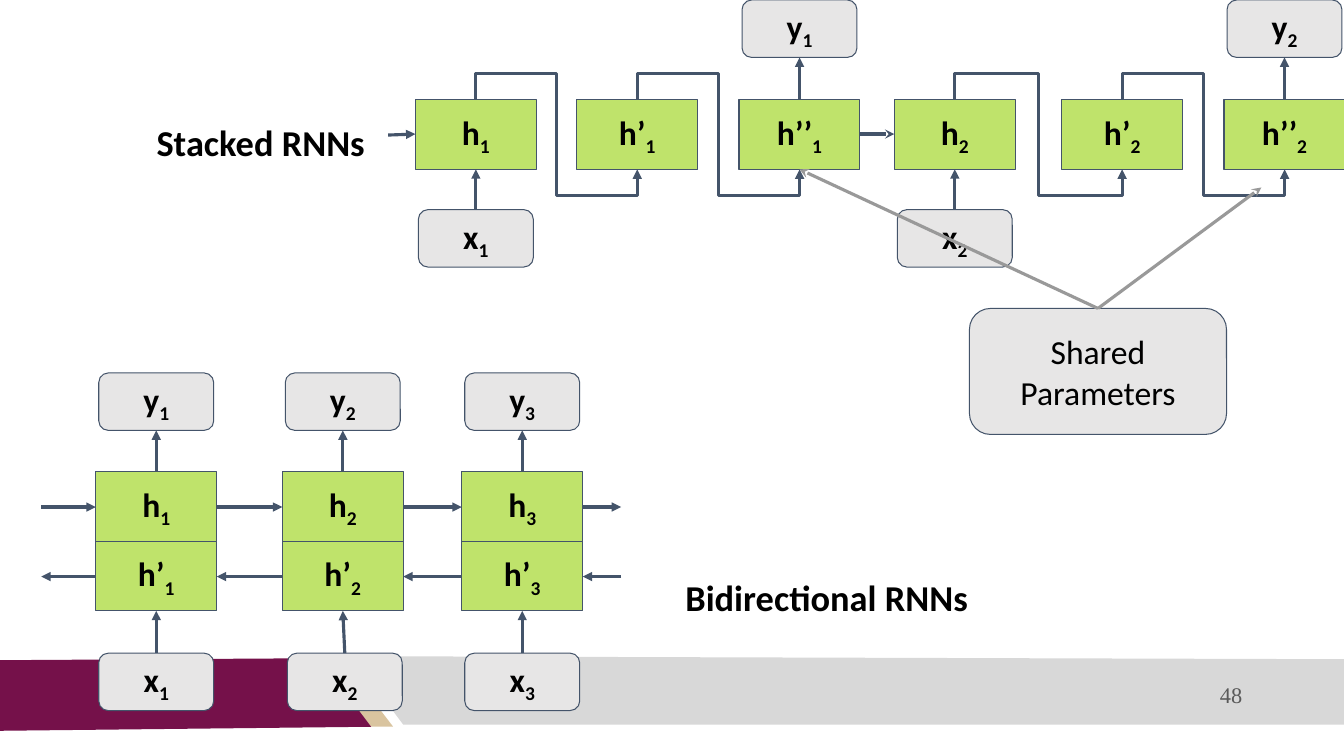
"""Draw a slide that compares stacked and bidirectional RNNs."""
from dataclasses import dataclass

import lxml.etree
import pptx
import pptx.dml.color
import pptx.enum.shapes
import pptx.enum.text
import pptx.oxml
import pptx.oxml.ns
import pptx.util

Inches = pptx.util.Inches
Pt = pptx.util.Pt
Align = pptx.enum.text.PP_ALIGN
Anchor = pptx.enum.text.MSO_ANCHOR
Form = pptx.enum.shapes.MSO_SHAPE
Link = pptx.enum.shapes.MSO_CONNECTOR

INK = "44546A"
GRAY = "999999"


@dataclass(frozen=True)
class Kind:
    form: int
    wide: float
    tall: float
    fill: str
    alpha: int = 100


@dataclass(frozen=True)
class Node:
    kind: Kind
    mid: float
    top: float
    text: str
    sub: str = ""
    bold: bool = True


@dataclass(frozen=True)
class Wire:
    x1: float
    y1: float
    x2: float
    y2: float
    color: str = INK
    head: str = "triangle"


@dataclass(frozen=True)
class Label:
    left: float
    top: float
    wide: float
    tall: float
    text: str
    align: int
    size: int = 26
    font: str = "Calibri"
    color: str = "000000"
    bold: bool = True
    anchor: int = Anchor.TOP


@dataclass(frozen=True)
class Band:
    color: str
    points: tuple


CELL = Kind(Form.RECTANGLE, 1.2, 0.69, "B0DD46", 80)
PILL = Kind(Form.ROUNDED_RECTANGLE, 1.14, 0.57, "E7E6E6")
NOTE = Kind(Form.ROUNDED_RECTANGLE, 2.55, 1.25, "E7E6E6")

BANDS = [
    Band("D9C49F", ((3.16, 6.53), (3.38, 6.53), (3.9, 7.21), (3.67, 7.21))),
    Band("75114A", ((-0.01, 6.55), (3.17, 6.53), (3.68, 7.21), (-0.01, 7.25))),
    Band("D8D8D8", ((13.37, 7.19), (4, 7.19), (3.49, 6.51), (13.34, 6.54))),
]
LABELS = [
    Label(7.92, 6.69, 4.5, 0.4, "48", Align.RIGHT, 16, "Times New Roman",
          "595959", False, Anchor.MIDDLE),
    Label(6.7, 5.61, 4.56, 0.64, "Bidirectional RNNs", Align.LEFT),
    Label(-0.84, 1.09, 4.56, 0.64, "Stacked RNNs", Align.RIGHT),
]
PAIR_MIDS = (1.55, 3.4, 5.18)
FEED_MIDS = (1.55, 3.42, 5.18)
STACK_MIDS = (4.72, 6.32, 7.93, 9.47, 11.13, 12.74)
STACK_TOP = 0.99
STACK_END = STACK_TOP + CELL.tall
BEND_OUT = 0.26


def paint(target, color: str) -> None:
    target.solid()
    target.fore_color.rgb = pptx.dml.color.RGBColor.from_string(color)


def add_run(para, text: str, size: int, font: str, color: str, bold: bool, low: bool = False) -> None:
    run = para.add_run()
    run.text = text
    run.font.size = Pt(size)
    run.font.name = font
    run.font.bold = bold
    paint(run.font.fill, color)
    if low:
        run._r.get_or_add_rPr().set("baseline", "-25000")


def set_frame(frame, anchor: int) -> None:
    frame.word_wrap = True
    frame.vertical_anchor = anchor
    frame.margin_left = frame.margin_right = Inches(0.1)
    frame.margin_top = frame.margin_bottom = Inches(0.1)


def draw_band(slide, band: Band) -> None:
    points = [(Inches(x), Inches(y)) for x, y in band.points]
    path = slide.shapes.build_freeform(*points[0])
    path.add_line_segments(points[1:], close=True)
    shape = path.convert_to_shape()
    shape.shadow.inherit = False
    paint(shape.fill, band.color)
    shape.line.fill.background()


def draw_label(slide, label: Label) -> None:
    box = slide.shapes.add_textbox(*map(Inches, (label.left, label.top, label.wide, label.tall)))
    set_frame(box.text_frame, label.anchor)
    para = box.text_frame.paragraphs[0]
    para.alignment = label.align
    add_run(para, label.text, label.size, label.font, label.color, label.bold)


def draw_node(slide, node: Node) -> None:
    kind = node.kind
    left = node.mid - kind.wide / 2
    shape = slide.shapes.add_shape(kind.form, *map(Inches, (left, node.top, kind.wide, kind.tall)))
    shape.shadow.inherit = False
    paint(shape.fill, kind.fill)
    if kind.alpha < 100:
        tint = shape._element.spPr.find(".//" + pptx.oxml.ns.qn("a:srgbClr"))
        lxml.etree.SubElement(tint, pptx.oxml.ns.qn("a:alpha"), val=str(kind.alpha * 1000))
    paint(shape.line.fill, INK)
    shape.line.width = Pt(0.75)
    set_frame(shape.text_frame, Anchor.MIDDLE)
    para = shape.text_frame.paragraphs[0]
    para.alignment = Align.CENTER
    add_run(para, node.text, 24, "Calibri", "000000", node.bold)
    if node.sub:
        add_run(para, node.sub, 24, "Calibri", "000000", node.bold, low=True)


def draw_wire(slide, wire: Wire, form: int = Link.STRAIGHT):
    line = slide.shapes.add_connector(form, *map(Inches, (wire.x1, wire.y1, wire.x2, wire.y2)))
    paint(line.line.fill, wire.color)
    line.line.width = Pt(2.25)
    edge = line.line._get_or_add_ln()
    lxml.etree.SubElement(edge, pptx.oxml.ns.qn("a:tailEnd"), type=wire.head)
    lxml.etree.SubElement(line._element.spPr, pptx.oxml.ns.qn("a:effectLst"))
    return line


def draw_bend(slide, wire: Wire) -> None:
    line = draw_wire(slide, wire, Link.ELBOW)
    span, drop = wire.x2 - wire.x1, wire.y2 - wire.y1
    line.left = Inches((wire.x1 + wire.x2 - drop) / 2)
    line.top = Inches((wire.y1 + wire.y2 - span) / 2)
    line.width, line.height = Inches(drop), Inches(span)
    props = line._element.spPr
    frame = props.find(pptx.oxml.ns.qn("a:xfrm"))
    frame.set("rot", str(270 * 60000))
    frame.set("flipH", "1")
    shape = props.find(pptx.oxml.ns.qn("a:prstGeom"))
    shape.set("prst", "bentConnector5")
    guides = shape.find(pptx.oxml.ns.qn("a:avLst"))
    out = BEND_OUT / drop
    for place, ratio in enumerate((-out, 0.5, 1 + out), 1):
        lxml.etree.SubElement(guides, pptx.oxml.ns.qn("a:gd"), name=f"adj{place}",
                              fmla=f"val {round(ratio * 100000)}")


def draw_pairs(slide) -> None:
    for place, (mid, feed) in enumerate(zip(PAIR_MIDS, FEED_MIDS), 1):
        sub = str(place)
        for node in (Node(PILL, mid, 3.7, "y", sub), Node(CELL, mid, 4.68, "h", sub),
                     Node(CELL, mid, 5.37, "h’", sub), Node(PILL, feed, 6.48, "x", sub)):
            draw_node(slide, node)
        draw_wire(slide, Wire(feed, 6.48, mid, 6.06))
        draw_wire(slide, Wire(mid, 4.68, mid, 4.27))
    half = CELL.wide / 2
    starts = [0.41] + [mid + half for mid in PAIR_MIDS]
    ends = [mid - half for mid in PAIR_MIDS] + [6.16]
    for start, end in zip(starts, ends):
        draw_wire(slide, Wire(start, 5.03, end, 5.03))
        draw_wire(slide, Wire(end, 5.72, start, 5.72))


def draw_stack(slide) -> None:
    for place, mid in enumerate(STACK_MIDS):
        step, depth = divmod(place, 3)
        sub = str(step + 1)
        draw_node(slide, Node(CELL, mid, STACK_TOP, "h" + "’" * depth, sub))
        if depth == 0:
            draw_node(slide, Node(PILL, mid, 2.08, "x", sub))
            draw_wire(slide, Wire(mid, 2.08, mid, STACK_END))
        if depth == 2:
            draw_node(slide, Node(PILL, mid, 0, "y", sub))
            draw_wire(slide, Wire(mid, STACK_TOP, mid, PILL.tall))
        else:
            draw_bend(slide, Wire(mid, STACK_TOP, STACK_MIDS[place + 1], STACK_END))
    draw_wire(slide, Wire(3.85, 1.34, 4.12, 1.33))
    draw_wire(slide, Wire(8.53, 1.33, 8.87, 1.33, head="stealth"))
    draw_node(slide, Node(NOTE, 10.89, 3.06, "Shared Parameters", bold=False))
    for x, y in ((7.93, 1.68), (12.51, 1.86)):
        draw_wire(slide, Wire(10.89, 3.06, x, y, GRAY, "stealth"))


def main() -> None:
    deck = pptx.Presentation()
    deck.slide_width, deck.slide_height = Inches(13.33), Inches(7.5)
    slide = deck.slides.add_slide(deck.slide_layouts[6])
    for band in BANDS:
        draw_band(slide, band)
    for label in LABELS:
        draw_label(slide, label)
    draw_pairs(slide)
    draw_stack(slide)
    deck.save("out.pptx")


if __name__ == "__main__":
    main()
